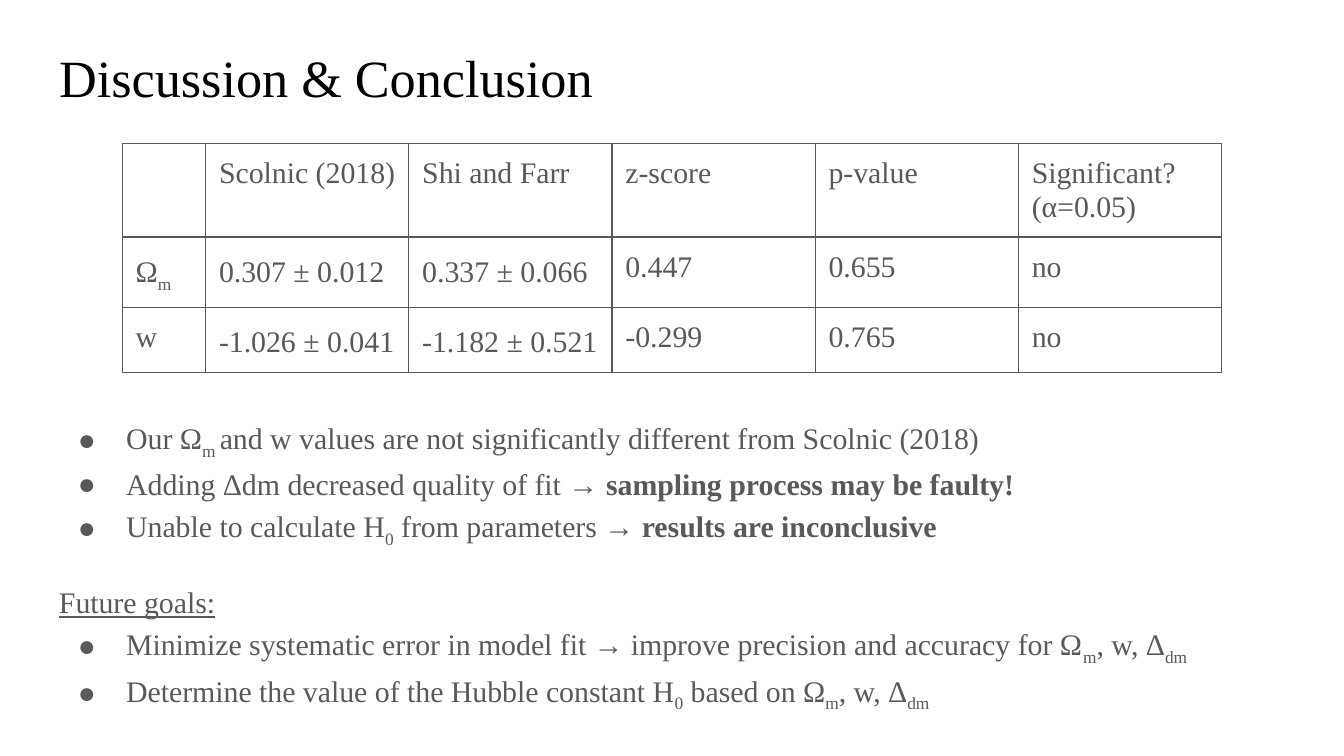
"""Build the discussion and conclusion slide with its results table and bullets."""
from dataclasses import dataclass
from typing import Any

import lxml.etree
import pptx
import pptx.dml.color
import pptx.enum.text
import pptx.oxml.ns
import pptx.util

Inches = pptx.util.Inches
Pt = pptx.util.Pt
qn = pptx.oxml.ns.qn

BLACK = pptx.dml.color.RGBColor(0x00, 0x00, 0x00)
GRAY = pptx.dml.color.RGBColor(0x59, 0x59, 0x59)
FONT = "Times New Roman"
LOOSE = 1.15
SLIDE_WIDTH = 10
SLIDE_HEIGHT = SLIDE_WIDTH * 9 / 16
MARGINS = {f"margin_{side}": Inches(0.1) for side in ("left", "right", "top", "bottom")}
FRAME_FORMAT = {
    **MARGINS,
    "word_wrap": True,
    "auto_size": pptx.enum.text.MSO_AUTO_SIZE.NONE,
    "vertical_anchor": pptx.enum.text.MSO_ANCHOR.TOP,
}


@dataclass(frozen=True)
class Span:
    text: str
    bold: bool = False
    underline: bool = False
    lowered: bool = False


@dataclass(frozen=True)
class Line:
    spans: tuple[Span, ...]
    spacing: float = 1.0
    before: float = 0
    bulleted: bool = False


def sub(text: str) -> Span:
    return Span(text, lowered=True)


def plain(text: str, spacing: float = 1.0) -> Line:
    return Line((Span(text),), spacing)


def bullet(*spans: Span) -> Line:
    return Line(spans, LOOSE, bulleted=True)


OMEGA_TAIL = (sub("m"), Span(", w, Δ"), sub("dm"))

BODY = [
    bullet(Span("Our Ω"), sub("m "),
           Span("and w values are not significantly different from Scolnic (2018)")),
    bullet(Span("Adding Δdm decreased quality of fit → "),
           Span("sampling process may be faulty!", bold=True)),
    bullet(Span("Unable to calculate H"), sub("0"), Span(" from parameters → "),
           Span("results are inconclusive", bold=True)),
    Line((Span("Future goals:", underline=True),), LOOSE, before=16),
    bullet(Span("Minimize systematic error in model fit → "
                "improve precision and accuracy for Ω"), *OMEGA_TAIL),
    bullet(Span("Determine the value of the Hubble constant H"), sub("0"),
           Span(" based on Ω"), *OMEGA_TAIL),
]

HEADINGS = ["Scolnic (2018)", "Shi and Farr", "z-score", "p-value"]
RESULTS = [
    (Line((Span("Ω"), sub("m")), LOOSE),
     ["0.307 ± 0.012", "0.337 ± 0.066"], ["0.447", "0.655", "no"]),
    (plain("w"), ["-1.026 ± 0.041", "-1.182 ± 0.521"], ["-0.299", "0.765", "no"]),
]
TABLE_WIDTH = 8.18
LABEL_WIDTH = 0.62
COLUMN_WIDTHS = [LABEL_WIDTH] + [(TABLE_WIDTH - LABEL_WIDTH) / 5] * 5
ROW_HEIGHT = 0.42


def apply_format(target: Any, values: dict[str, Any]) -> None:
    for name, value in values.items():
        setattr(target, name, value)


def add_bullet(para: Any) -> None:
    properties = para._p.get_or_add_pPr()
    properties.set("marL", str(Inches(0.5)))
    properties.set("indent", str(Inches(-0.36)))
    color = lxml.etree.SubElement(properties, qn("a:buClr"))
    lxml.etree.SubElement(color, qn("a:srgbClr"), val=str(GRAY))
    lxml.etree.SubElement(properties, qn("a:buFont"), typeface=FONT)
    lxml.etree.SubElement(properties, qn("a:buChar"), char="●")


def write_lines(frame: Any, lines: list[Line], size: float = 16,
                color: pptx.dml.color.RGBColor = GRAY) -> None:
    for index, line in enumerate(lines):
        para = frame.paragraphs[0] if index == 0 else frame.add_paragraph()
        apply_format(para, {
            "alignment": pptx.enum.text.PP_ALIGN.LEFT,
            "line_spacing": line.spacing,
            "space_before": Pt(line.before),
            "space_after": Pt(0),
        })
        if line.bulleted:
            add_bullet(para)
        for part in line.spans:
            span = para.add_run()
            span.text = part.text
            apply_format(span.font, {"name": FONT, "size": Pt(size), "bold": part.bold,
                                     "underline": part.underline})
            span.font.color.rgb = color
            if part.lowered:
                span._r.get_or_add_rPr().set("baseline", "-25000")


def add_borders(cell: Any) -> None:
    properties = cell._tc.get_or_add_tcPr()
    for side in "LRTB":
        border = lxml.etree.SubElement(properties, qn(f"a:ln{side}"), w=str(Pt(0.75)))
        fill = lxml.etree.SubElement(border, qn("a:solidFill"))
        lxml.etree.SubElement(fill, qn("a:srgbClr"), val=str(GRAY))


def add_results(page: Any) -> None:
    rows = [[[]] + [[plain(text)] for text in HEADINGS]
            + [[plain("Significant?"), plain("(α=0.05)")]]]
    for label, estimates, tests in RESULTS:
        rows.append([[label]] + [[plain(text, LOOSE)] for text in estimates]
                    + [[plain(text)] for text in tests])
    table = page.shapes.add_table(
        len(rows), len(COLUMN_WIDTHS), Inches(0.91), Inches(1.07),
        Inches(TABLE_WIDTH), Inches(ROW_HEIGHT * len(rows))).table
    apply_format(table, {"first_row": False, "horz_banding": False})
    for column, width in zip(table.columns, COLUMN_WIDTHS):
        column.width = Inches(width)
    for row, contents in zip(table.rows, rows):
        row.height = Inches(ROW_HEIGHT)
        for cell, lines in zip(row.cells, contents):
            apply_format(cell, MARGINS)
            add_borders(cell)
            cell.fill.background()
            write_lines(cell.text_frame, lines)


def main() -> None:
    deck = pptx.Presentation()
    apply_format(deck, {"slide_width": Inches(SLIDE_WIDTH),
                        "slide_height": Inches(SLIDE_HEIGHT)})
    page = deck.slides.add_slide(deck.slide_layouts[5])

    title = page.shapes.title
    apply_format(title, {"left": Inches(0.34), "top": Inches(0.24),
                         "width": Inches(9.32), "height": Inches(0.63)})
    apply_format(title.text_frame, FRAME_FORMAT)
    write_lines(title.text_frame, [plain("Discussion & Conclusion")], 28, BLACK)

    box = page.shapes.add_textbox(Inches(0.34), Inches(2.98), Inches(9.32), Inches(2.29))
    apply_format(box.text_frame, FRAME_FORMAT)
    write_lines(box.text_frame, BODY)

    add_results(page)
    deck.save("out.pptx")


if __name__ == "__main__":
    main()
